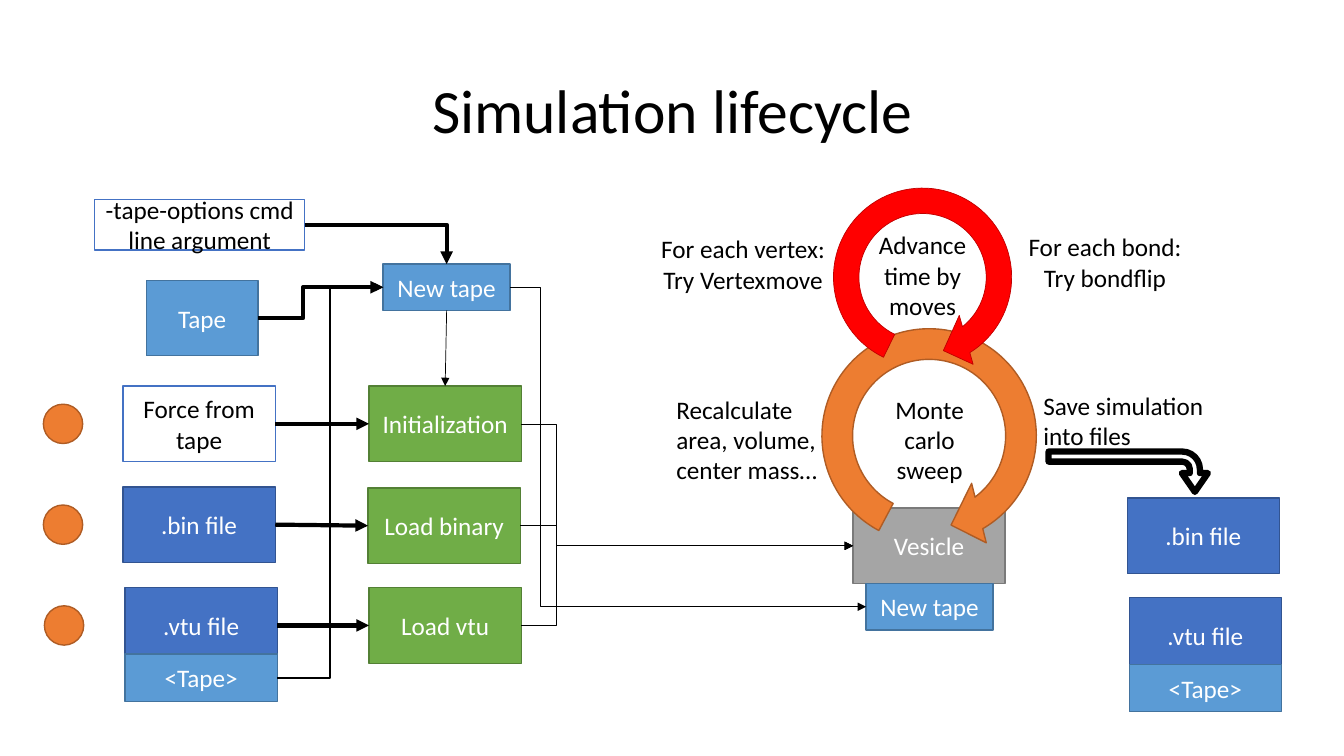
import pptx
import pptx.util
import pptx.dml.color
import pptx.enum.shapes
import pptx.enum.text
import pptx.oxml.ns
import lxml.etree

Inches = pptx.util.Inches
SHAPES = pptx.enum.shapes.MSO_SHAPE
ALIGN = pptx.enum.text.PP_ALIGN
ANCHOR = pptx.enum.text.MSO_ANCHOR
TOP, LEFT, BOTTOM, RIGHT = range(4)

COLOURS = {
    "black": "000000", "white": "FFFFFF",
    "blue": "4472C4", "blue edge": "325491",
    "sky": "5B9BD5", "sky edge": "43739E",
    "green": "70AD47", "green edge": "538035",
    "grey": "A5A5A5", "grey edge": "7A7A7A",
    "orange": "ED7D31", "orange edge": "AF5C24",
    "red": "FF0000", "red edge": "C00000",
}
STYLES = {
    "option": ("white", "blue", "black"),
    "file": ("blue", "blue edge", "white"),
    "tape": ("sky", "sky edge", "white"),
    "step": ("green", "green edge", "white"),
    "vesicle": ("grey", "grey edge", "white"),
}
BLOCK = (1.51, 0.75)
STRIP = (1.51, 0.47)
LABEL = (1.26, 0.46)
ROWS = (3.83, 4.83, 5.83)

BOXES = {
    "force": ("Force from tape", "option", (1.22, ROWS[0]), BLOCK),
    "bin": (".bin file", "file", (1.22, ROWS[1]), BLOCK),
    "vtu": (".vtu file", "file", (1.24, ROWS[2]), BLOCK),
    "tape": ("Tape", "tape", (1.45, 2.78), (1.11, 0.75)),
    "vtu tape": ("<Tape>", "tape", (1.24, 6.49), STRIP),
    "initialization": ("Initialization", "step", (3.66, ROWS[0]), BLOCK),
    "load binary": ("Load binary", "step", (3.65, 4.84), BLOCK),
    "load vtu": ("Load vtu", "step", (3.66, ROWS[2]), BLOCK),
    "options": ("-tape-options cmd line argument", "option", (0.94, 1.98), (2.08, 0.5)),
    "vesicle": ("Vesicle", "vesicle", (8.46, 5.04), BLOCK),
    "new tape": ("New tape", "tape", (3.8, 2.62), LABEL),
    "vesicle tape": ("New tape", "tape", (8.59, 5.79), LABEL),
    "saved bin": (".bin file", "file", (11.18, 4.94), BLOCK),
    "saved vtu": (".vtu file", "file", (11.2, 5.93), BLOCK),
    "saved tape": ("<Tape>", "tape", (11.2, 6.59), STRIP),
}
STRAIGHT_ARROWS = [
    ("force", RIGHT, "initialization", LEFT, 3),
    ("bin", RIGHT, "load binary", LEFT, 3),
    ("vtu", RIGHT, "load vtu", LEFT, 3),
    ("new tape", BOTTOM, "initialization", TOP, 0.5),
]
BENT_ARROWS = [
    ("options", RIGHT, "new tape", TOP, 3, None),
    ("vtu tape", RIGHT, "new tape", LEFT, 1, 0.5),
    ("tape", RIGHT, "new tape", LEFT, 3, 0.36),
    ("initialization", RIGHT, "vesicle", LEFT, 0.5, 0.107),
    ("load binary", RIGHT, "vesicle", LEFT, 0.5, 0.11),
    ("load vtu", RIGHT, "vesicle", LEFT, 0.5, 0.107),
    ("new tape", RIGHT, "vesicle tape", LEFT, 0.5, 0.086),
]
DOTS = [(0.43, 4.01), (0.43, 5.01), (0.44, 6.01)]
LOOP = (0.125, 11.423, 204.577, 25.072, 0.125)
LOOPS = [
    ((8, 3.11), 2.43, 76.2, "orange", 1),
    ((8.14, 1.74), 2.02, 74.2, "red", 0.5),
]
SAVE_TURN = (0.25, 0.323, 0.465, 0.438)
NOTES = [
    (["Monte carlo sweep"], (8.59, 3.86, 1.26, 1.01), ALIGN.CENTER),
    (["Advance time by moves"], (8.36, 2.23, 1.58, 1.01), ALIGN.CENTER),
    (["Recalculate area, volume, center mass…"], (6.61, 3.86, 1.8, 1.01), ALIGN.LEFT),
    (["Save simulation into files"], (10.25, 3.82, 1.8, 0.71), ALIGN.LEFT),
    (["For each vertex:", "Try Vertexmove"], (6.45, 2.27, 1.84, 0.71), ALIGN.CENTER),
    (["For each bond: Try bondflip"], (10.06, 2.25, 1.8, 0.71), ALIGN.CENTER),
]


def colour(name):
    return pptx.dml.color.RGBColor.from_string(COLOURS[name])


def write(frame, lines, size=18, ink="black", align=ALIGN.CENTER, anchor=ANCHOR.TOP, spacing=None):
    frame.word_wrap = True
    frame.vertical_anchor = anchor
    for index, line in enumerate(lines):
        para = frame.paragraphs[0] if index == 0 else frame.add_paragraph()
        para.alignment = align
        para.line_spacing = spacing
        span = para.add_run()
        span.text = line
        span.font.name = "Calibri"
        span.font.size = pptx.util.Pt(size)
        span.font.color.rgb = colour(ink)


def add_shape(page, kind, frame, fill, edge, width=1, turn=0, adjust=()):
    shape = page.shapes.add_shape(kind, *map(Inches, frame))
    shape.shadow.inherit = False
    if fill:
        shape.fill.solid()
        shape.fill.fore_color.rgb = colour(fill)
    else:
        shape.fill.background()
    shape.line.color.rgb = colour(edge)
    shape.line.width = pptx.util.Pt(width)
    shape.rotation = turn
    for index, value in enumerate(adjust):
        shape.adjustments[index] = value
    return shape


def add_arrow(page, kind, start, start_side, end, end_side, width):
    arrow = page.shapes.add_connector(kind, 0, 0, 0, 0)
    arrow.begin_connect(start, start_side)
    arrow.end_connect(end, end_side)
    arrow.line.color.rgb = colour("black")
    arrow.line.width = pptx.util.Pt(width)
    qn = pptx.oxml.ns.qn
    properties = arrow.element.find(qn("p:spPr"))
    lxml.etree.SubElement(properties.find(qn("a:ln")), qn("a:tailEnd"), type="triangle")
    lxml.etree.SubElement(properties, qn("a:effectLst"))
    return properties.find(qn("a:prstGeom"))


def bend(geometry, share):
    qn = pptx.oxml.ns.qn
    if share is None:
        geometry.set("prst", "bentConnector2")
        return
    guides = geometry.find(qn("a:avLst"))
    lxml.etree.SubElement(guides, qn("a:gd"), name="adj1", fmla=f"val {round(share * 100000)}")


def add_note(page, lines, frame, **form):
    box = page.shapes.add_textbox(*map(Inches, frame))
    write(box.text_frame, lines, **form)


def main():
    """Build the simulation lifecycle slide."""
    deck = pptx.Presentation()
    deck.slide_width, deck.slide_height = Inches(13.33), Inches(7.5)
    page = deck.slides.add_slide(deck.slide_layouts[6])
    add_note(page, ["Simulation lifecycle"], (0.92, 0.4, 11.5, 1.45),
             size=44, anchor=ANCHOR.MIDDLE, spacing=0.9)

    boxes = {}
    for name, (text, style, place, size) in BOXES.items():
        fill, edge, ink = STYLES[style]
        boxes[name] = add_shape(page, SHAPES.RECTANGLE, place + size, fill, edge)
        write(boxes[name].text_frame, [text], ink=ink, anchor=ANCHOR.MIDDLE)

    kinds = pptx.enum.shapes.MSO_CONNECTOR
    for start, start_side, end, end_side, width in STRAIGHT_ARROWS:
        add_arrow(page, kinds.STRAIGHT, boxes[start], start_side, boxes[end], end_side, width)
    for start, start_side, end, end_side, width, share in BENT_ARROWS:
        bend(add_arrow(page, kinds.ELBOW, boxes[start], start_side, boxes[end], end_side, width), share)

    for place in DOTS:
        add_shape(page, SHAPES.OVAL, place + (0.39, 0.39), "orange", "orange edge")
    for place, size, turn, fill, width in LOOPS:
        add_shape(page, SHAPES.CIRCULAR_ARROW, place + (size, size), fill, f"{fill} edge", width, turn, LOOP)
    add_shape(page, SHAPES.BENT_ARROW, (10.99, 3.89, 0.4, 1.58), None, "black", 4.5, 90, SAVE_TURN)
    for lines, frame, align in NOTES:
        add_note(page, lines, frame, align=align)
    deck.save("out.pptx")


if __name__ == "__main__":
    main()
